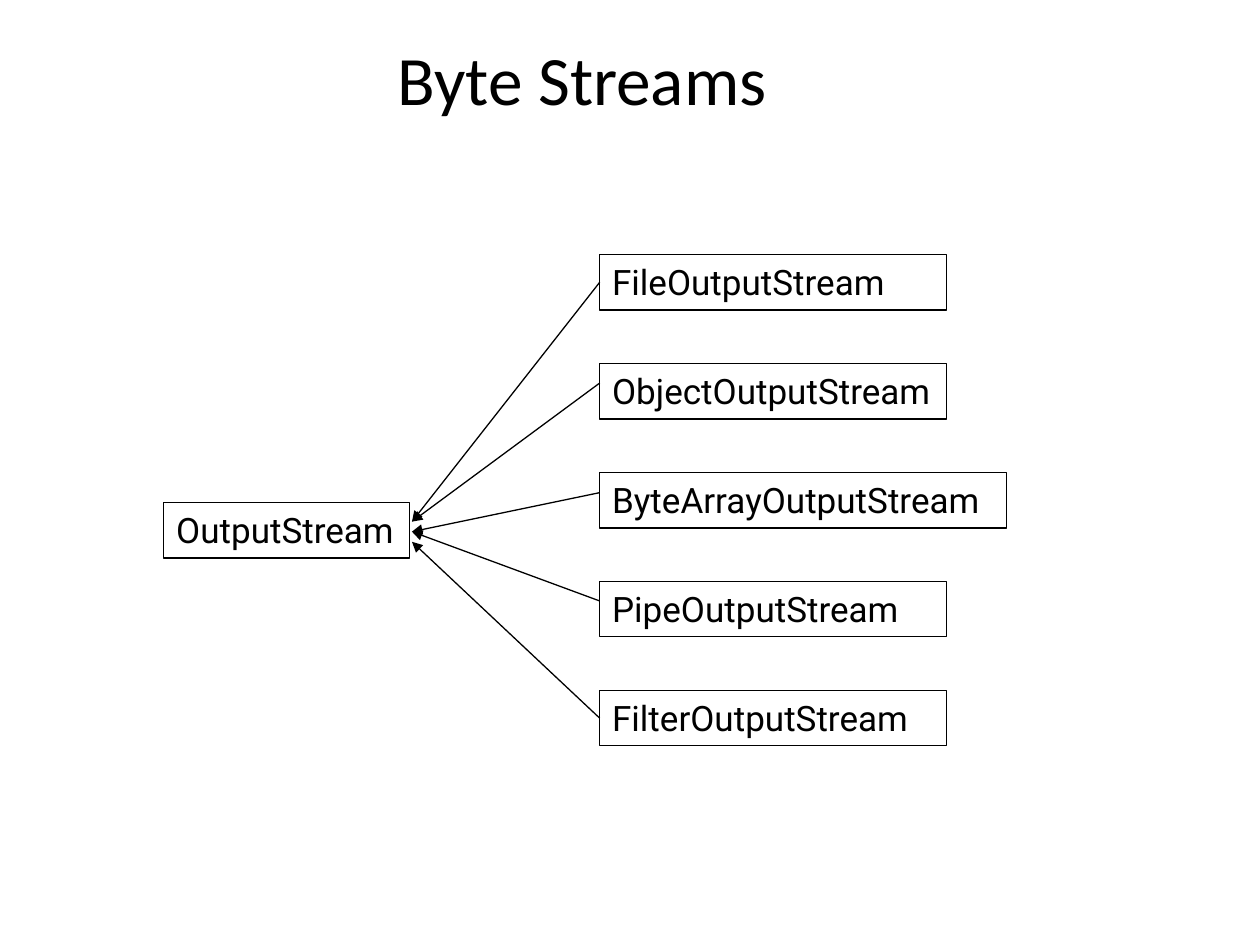
import pptx
import pptx.util
import pptx.dml.color
import pptx.enum.shapes
import pptx.enum.text
import pptx.oxml
import pptx.oxml.ns

Inches = pptx.util.Inches
Pt = pptx.util.Pt
colors = {"ink": "000000"}
ink = pptx.dml.color.RGBColor.from_string(colors["ink"])
enums = pptx.enum.text


def write(frame, text, font, size, align):
    frame.word_wrap = True
    para = frame.paragraphs[0]
    para.alignment = align
    run = para.add_run()
    run.text = text
    run.font.name = font
    run.font.size = Pt(size)
    run.font.color.rgb = ink


def add_box(text, left, top, width):
    box = slide.shapes.add_shape(
        pptx.enum.shapes.MSO_SHAPE.RECTANGLE,
        Inches(left), Inches(top), Inches(width), Inches(0.44))
    box.shadow.inherit = False
    box.fill.background()
    box.line.color.rgb = ink
    box.line.width = Pt(0.75)
    box.text_frame.vertical_anchor = enums.MSO_ANCHOR.TOP
    box.text_frame.auto_size = enums.MSO_AUTO_SIZE.SHAPE_TO_FIT_TEXT
    write(box.text_frame, text, "Roboto", 20, enums.PP_ALIGN.LEFT)
    return box


deck = pptx.Presentation()
deck.slide_width = Inches(10)
deck.slide_height = Inches(7.5)
slide = deck.slides.add_slide(deck.slide_layouts[5])

title = slide.shapes.title
title.left, title.top = Inches(2.08), Inches(0.33)
title.width, title.height = Inches(5.08), Inches(0.58)
title.text_frame.vertical_anchor = enums.MSO_ANCHOR.MIDDLE
title.text_frame.auto_size = enums.MSO_AUTO_SIZE.NONE
write(title.text_frame, "Byte Streams", "Calibri", 39.6, enums.PP_ALIGN.CENTER)

add_box("OutputStream", 1.3, 3.99, 1.95)

left, first, pitch = 4.76, 2.02, 0.865
streams = [
    ("FileOutputStream", 2.75, 4.14, 2.25, True),
    ("ObjectOutputStream", 2.75, 4.14, 3.04, False),
    ("ByteArrayOutputStream", 3.23, 4.22, 3.91, False),
    ("PipeOutputStream", 2.75, 4.22, 4.77, False),
    ("FilterOutputStream", 2.75, 4.3, 5.72, True),
]
for row, (name, width, tip, tail, joined) in enumerate(streams):
    box = add_box(name, left, first + row * pitch, width)
    arrow = slide.shapes.add_connector(
        pptx.enum.shapes.MSO_CONNECTOR.STRAIGHT,
        Inches(3.27), Inches(tip), Inches(left), Inches(tail))
    if joined:
        arrow.end_connect(box, 1)
    arrow.line.color.rgb = ink
    arrow.line.width = Pt(0.75)
    head = pptx.oxml.parse_xml(
        "<a:headEnd %s type='triangle'/>" % pptx.oxml.ns.nsdecls("a"))
    arrow.line._get_or_add_ln().append(head)
    effect = pptx.oxml.parse_xml("<a:effectLst %s/>" % pptx.oxml.ns.nsdecls("a"))
    arrow._element.spPr.append(effect)

deck.save("out.pptx")
